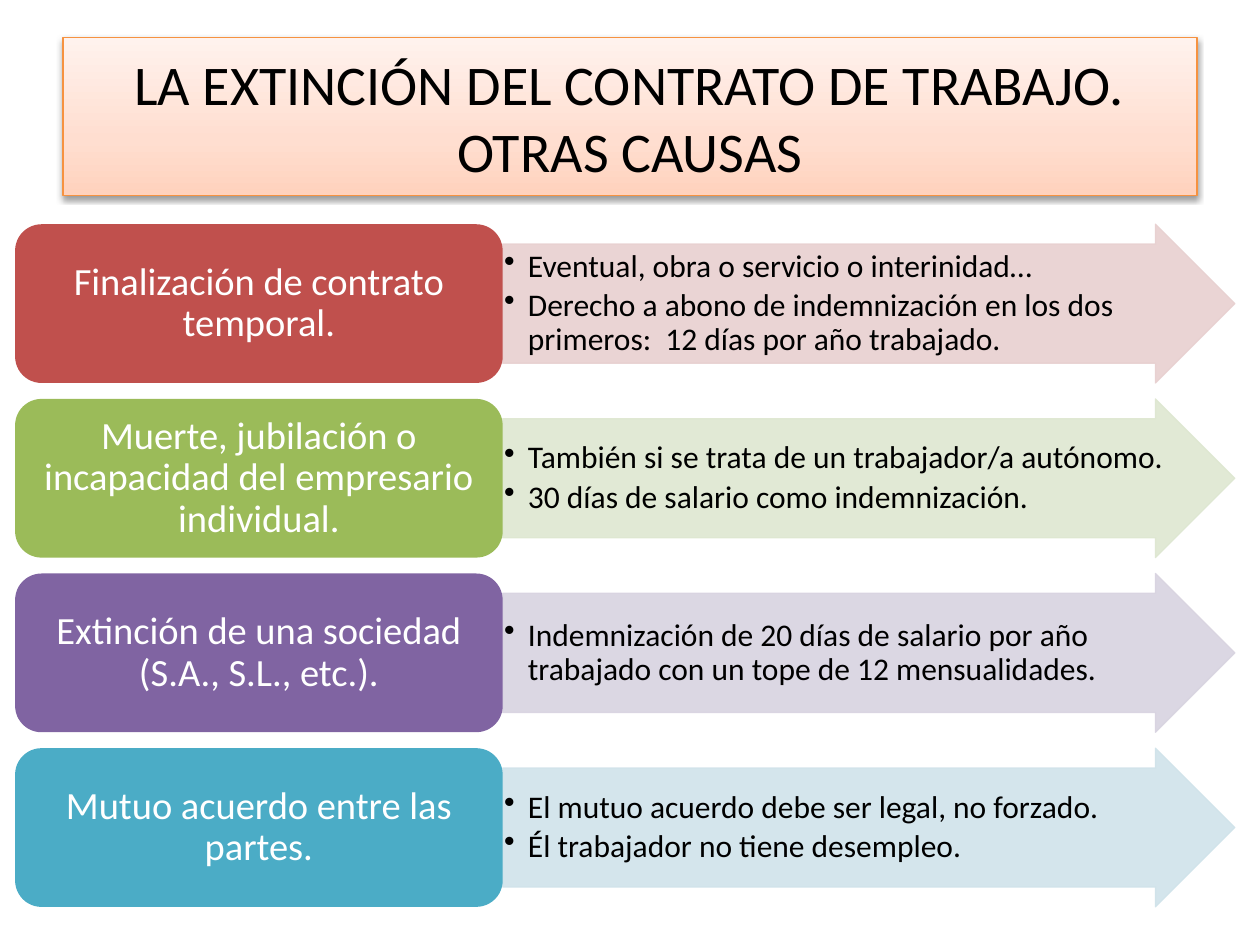
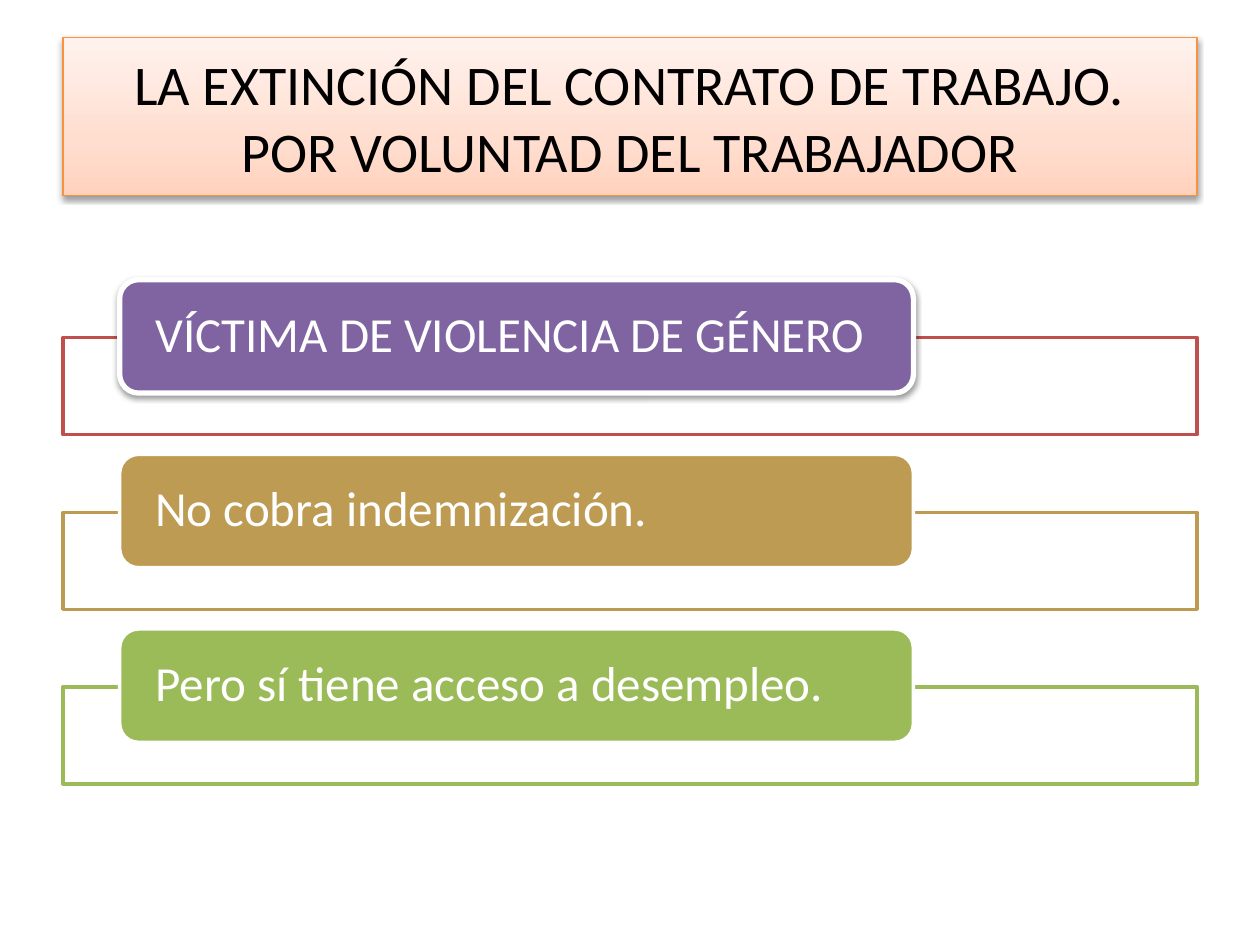
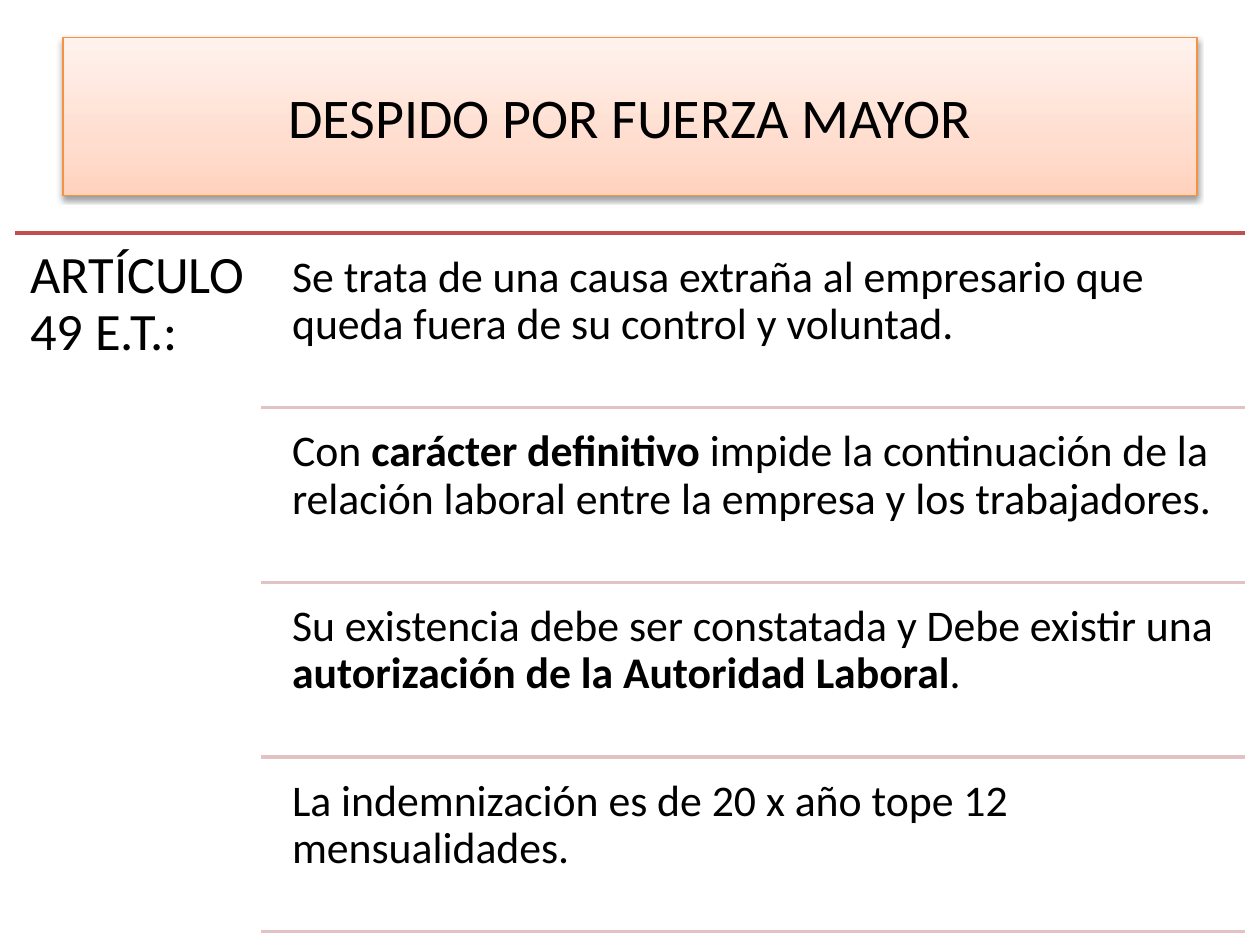
from copy import deepcopy

from lxml import etree
from pptx import Presentation
from pptx.dml.color import RGBColor
from pptx.enum.shapes import MSO_CONNECTOR, MSO_SHAPE
from pptx.enum.text import MSO_ANCHOR, PP_ALIGN
from pptx.oxml.ns import qn
from pptx.util import Inches, Pt

CENTER, LEFT = PP_ALIGN.CENTER, PP_ALIGN.LEFT
MIDDLE, TOP = MSO_ANCHOR.MIDDLE, MSO_ANCHOR.TOP
RECTANGLE, ROUNDED = MSO_SHAPE.RECTANGLE, MSO_SHAPE.ROUNDED_RECTANGLE
ARROW, STRAIGHT = MSO_SHAPE.RIGHT_ARROW, MSO_CONNECTOR.STRAIGHT

FONT = "Calibri"
TITLE_LAYOUT = 5
BLOCK_HEIGHT = 1.26
ROW_PITCH = BLOCK_HEIGHT * 1.1
COLORS = {
    "black": "000000", "white": "FFFFFF", "title line": "F69240",
    "red": "C0504D", "green": "9BBB59", "purple": "8064A2",
    "blue": "4BACC6", "ochre": "BD9B53", "divider": "E2C2C2",
    "pale red": "E8D0D0", "pale green": "DEE7D1",
    "pale purple": "D8D3E0", "pale blue": "D0E3EA",
}
TITLE_GRADIENT = [(0, "FFD2BD"), (0.35, "FFDED0"), (1, "FFF2ED")]

CAUSES = [
    ("red", "Finalización de contrato temporal.",
     ["Eventual, obra o servicio o interinidad…",
      "Derecho a abono de indemnización en los dos primeros:  12 días por año trabajado."]),
    ("green", "Muerte, jubilación o incapacidad del empresario individual.",
     ["También si se trata de un trabajador/a autónomo.",
      "30 días de salario como indemnización."]),
    ("purple", "Extinción de una sociedad (S.A., S.L., etc.).",
     ["Indemnización de 20 días de salario por año trabajado con un tope de 12 mensualidades."]),
    ("blue", "Mutuo acuerdo entre las partes.",
     ["El mutuo acuerdo debe ser legal, no forzado.",
      "Él trabajador no tiene desempleo."]),
]
# Frame colour, label colour, label text
WORKER_RIGHTS = [
    ("red", "purple", "VÍCTIMA DE VIOLENCIA DE GÉNERO"),
    ("ochre", "ochre", "No cobra indemnización."),
    ("green", "green", "Pero sí tiene acceso a desempleo."),
]
# Every second piece of a statement is bold
STATEMENTS = [
    ["Se trata de una causa extraña al empresario que queda fuera de su control y voluntad."],
    ["Con ", "carácter definitivo ",
     "impide la continuación de la relación laboral entre la empresa y los trabajadores."],
    ["Su existencia debe ser constatada y Debe existir una ",
     "autorización de la Autoridad Laboral", "."],
    ["La indemnización es de 20 x año tope 12 mensualidades."],
]


def color(name):
    return RGBColor.from_string(COLORS[name])


def add_shadow(shape):
    shape.shadow.inherit = False
    effects = shape._element.spPr.find(qn("a:effectLst"))
    shadow = etree.SubElement(effects, qn("a:outerShdw"), blurRad=str(Pt(3.1)),
                              dist=str(Pt(1.6)), dir="5400000", rotWithShape="0")
    shadow_color = etree.SubElement(shadow, qn("a:srgbClr"), val=COLORS["black"])
    etree.SubElement(shadow_color, qn("a:alpha"), val="38000")


def set_opacity(shape, percent):
    for shade in shape._element.spPr.iter(qn("a:srgbClr")):
        etree.SubElement(shade, qn("a:alpha"), val=str(percent * 1000))


def set_line(shape, color_name, width):
    shape.line.color.rgb = color(color_name)
    shape.line.width = Pt(width)


def format_paragraph(paragraph, size, color_name, alignment=LEFT):
    paragraph.alignment = alignment
    paragraph.font.size = Pt(size)
    paragraph.font.name = FONT
    paragraph.font.color.rgb = color(color_name)


def prepare_frame(shape, horizontal, vertical, anchor=MIDDLE):
    frame = shape.text_frame
    frame.word_wrap = True
    frame.vertical_anchor = anchor
    frame.margin_left = frame.margin_right = Inches(horizontal)
    frame.margin_top = frame.margin_bottom = Inches(vertical)
    return frame


def add_titled_slide(presentation, title_text):
    slide = presentation.slides.add_slide(presentation.slide_layouts[TITLE_LAYOUT])
    title = slide.shapes.title
    title.left, title.top = Inches(0.5), Inches(0.3)
    title.width, title.height = Inches(9), Inches(1.25)
    title.fill.gradient()
    title.fill.gradient_angle = 90
    stop_list = title._element.spPr.find(".//" + qn("a:gsLst"))
    stop_list.append(deepcopy(stop_list[0]))
    for stop, (position, shade) in zip(title.fill.gradient_stops, TITLE_GRADIENT):
        stop.position = position
        stop.color.rgb = RGBColor.from_string(shade)
    set_line(title, "title line", 0.75)
    add_shadow(title)
    frame = prepare_frame(title, 0.1, 0.05)
    frame.text = title_text
    format_paragraph(frame.paragraphs[0], 32, "black", CENTER)
    return slide


def add_box(slide, kind, left, top, width, height, fill_name):
    shape = slide.shapes.add_shape(kind, Inches(left), Inches(top),
                                   Inches(width), Inches(height))
    shape.shadow.inherit = False
    shape.fill.solid()
    shape.fill.fore_color.rgb = color(fill_name)
    shape.line.fill.background()
    return shape


def write_label(shape, text, size, alignment, horizontal, vertical):
    paragraph = prepare_frame(shape, horizontal, vertical).paragraphs[0]
    paragraph.text = text
    paragraph.line_spacing = 0.9
    format_paragraph(paragraph, size, "white", alignment)


def write_bullets(shape, items):
    frame = prepare_frame(shape, 0.01, 0.01)
    for index, item in enumerate(items):
        paragraph = frame.add_paragraph() if index else frame.paragraphs[0]
        paragraph.text = item
        properties = paragraph._p.get_or_add_pPr()
        properties.set("marL", str(Inches(0.19)))
        properties.set("indent", str(Inches(-0.19)))
        etree.SubElement(properties, qn("a:buChar"), char="•")
        paragraph.line_spacing = 0.9
        if index:
            paragraph.space_before = Pt(3)
        format_paragraph(paragraph, 18, "black")


def add_cause(slide, top, color_name, cause, details):
    arrow = add_box(slide, ARROW, 3.99, top, 5.81, BLOCK_HEIGHT, "pale " + color_name)
    arrow.adjustments[0] = 0.75
    set_line(arrow, "pale " + color_name, 0.75)
    set_opacity(arrow, 90)
    write_bullets(arrow, details)
    block = add_box(slide, ROUNDED, 0.12, top, 3.87, BLOCK_HEIGHT, color_name)
    write_label(block, cause, 22, CENTER, 0.09, 0.05)


def add_framed_label(slide, top, frame_color, label_color, text, raised):
    frame = add_box(slide, RECTANGLE, 0.5, top + 0.46, 9, 0.77, "white")
    set_line(frame, frame_color, 2)
    label = add_box(slide, ROUNDED, 0.95, top, 6.3, 0.9, label_color)
    set_line(label, "white", 3 if raised else 2)
    if raised:
        add_shadow(label)
    write_label(label, text, 28, LEFT, 0.24, 0)


def add_text(slide, left, top, width, height, pieces, size, margin):
    box = slide.shapes.add_textbox(Inches(left), Inches(top), Inches(width), Inches(height))
    paragraph = prepare_frame(box, margin, margin, TOP).paragraphs[0]
    for index, piece in enumerate(pieces):
        run = paragraph.add_run()
        run.text = piece
        if index % 2:
            run.font.bold = True
    paragraph.line_spacing = 0.9
    format_paragraph(paragraph, size, "black")


def add_divider(slide, left, top, color_name):
    divider = slide.shapes.add_connector(STRAIGHT, Inches(left), Inches(top),
                                         Inches(9.88), Inches(top))
    set_line(divider, color_name, 2)
    etree.SubElement(divider._element.spPr, qn("a:effectLst"))


def build_other_causes(presentation):
    slide = add_titled_slide(presentation, "LA EXTINCIÓN DEL CONTRATO DE TRABAJO.\vOTRAS CAUSAS")
    for row, cause in enumerate(CAUSES):
        add_cause(slide, 1.78 + row * ROW_PITCH, *cause)


def build_worker_decision(presentation):
    slide = add_titled_slide(
        presentation, "LA EXTINCIÓN DEL CONTRATO DE TRABAJO.\vPOR VOLUNTAD DEL TRABAJADOR")
    for row, right in enumerate(WORKER_RIGHTS):
        add_framed_label(slide, 2.22 + row * ROW_PITCH, *right, raised=row == 0)


def build_force_majeure(presentation):
    slide = add_titled_slide(presentation, "DESPIDO POR FUERZA MAYOR")
    add_divider(slide, 0.12, 1.85, "red")
    add_text(slide, 0.12, 1.85, 1.95, 5.62, ["ARTÍCULO 49 E.T.:"], 30, 0.12)
    for row, statement in enumerate(STATEMENTS):
        top = 1.85 + row * ROW_PITCH
        add_text(slide, 2.22, top + 0.07, 7.67, 1.32, statement, 25, 0.1)
        add_divider(slide, 2.07, top + ROW_PITCH, "divider")


def main():
    presentation = Presentation()
    presentation.slide_width, presentation.slide_height = Inches(10), Inches(7.5)
    build_other_causes(presentation)
    build_worker_decision(presentation)
    build_force_majeure(presentation)
    presentation.save("out.pptx")


if __name__ == "__main__":
    main()
